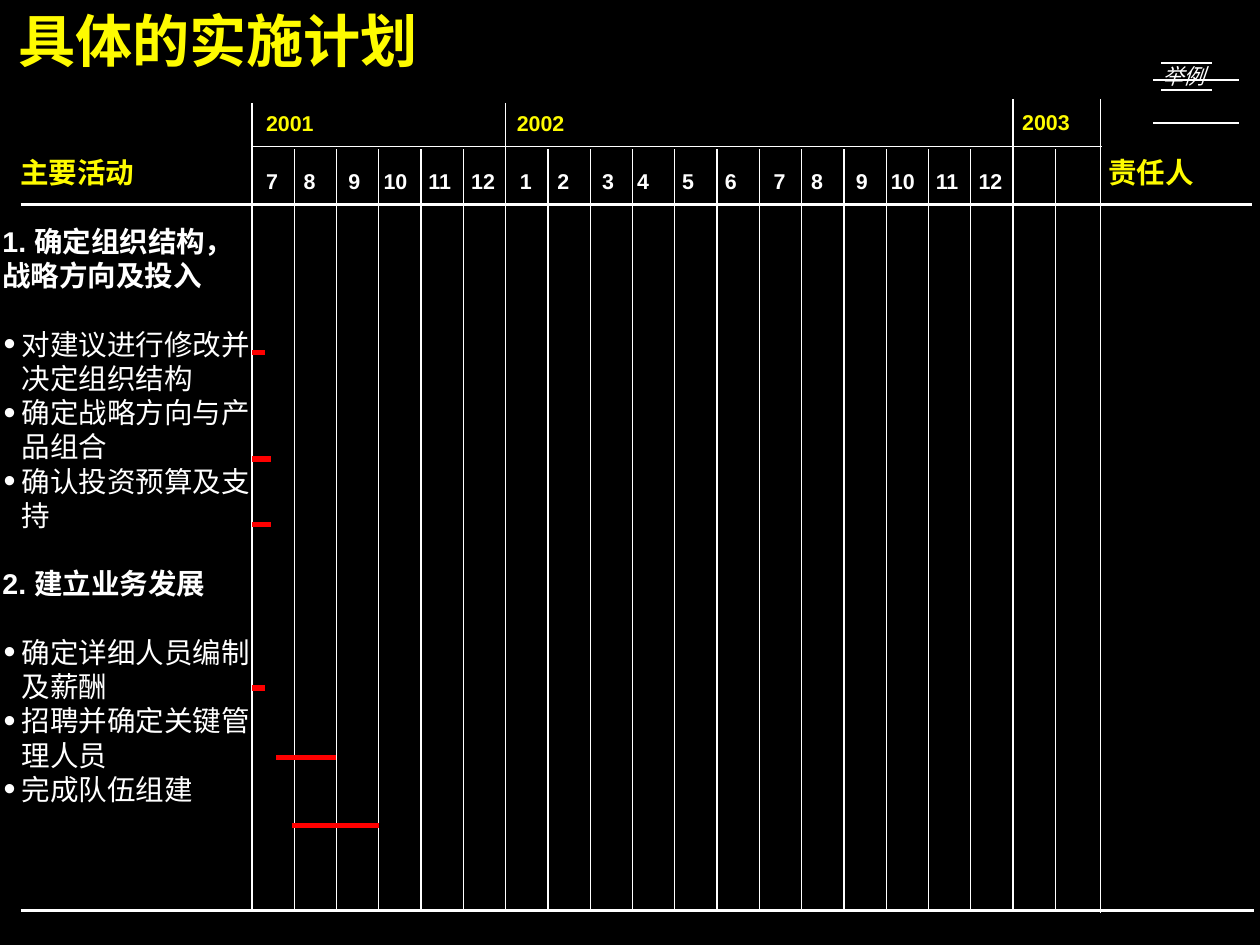
from pptx import Presentation
from pptx import util as u
from pptx.dml import color
from pptx.enum import shapes, text
from pptx.oxml import parse_xml
from pptx.oxml.ns import nsdecls, qn

Pt = u.Pt
FONT = "Arial"
WHITE, YELLOW, RED, BLACK = "FFFFFF", "FEFB00", "FF0000", "000000"
CHART_LEFT, CHART_RIGHT = 141.1, 616.4
MONTH_WIDTH = 23.68
YEAR_TOP, MONTH_TOP, CHART_BOTTOM = 57.6, 83.5, 509.8
MONTH_OFFSETS = [8, 29, 54, 73.7, 98.8, 122.8]  # label lefts within a half-year
LINE_GAP = 19.2

ACTIVITIES = [
    ("1. 确定组织结构，战略方向及投入",
     ["对建议进行修改并决定组织结构", "确定战略方向与产品组合", "确认投资预算及支持"]),
    ("2. 建立业务发展",
     ["确定详细人员编制及薪酬", "招聘并确定关键管理人员", "完成队伍组建"]),
]
# Task bars: left, right, height on the slide
TASK_BARS = [
    (141.1, 148.3, 197.3), (141.1, 151.9, 257), (141.1, 151.9, 293.8),
    (141.1, 148.3, 385.2), (154.8, 188, 424.1), (163.4, 212.4, 462.2),
]


def rgb(hex_color):
    return color.RGBColor.from_string(hex_color)


def add_line(s, x1, y1, x2, y2, width, hex_color=WHITE):
    ln = s.shapes.add_connector(shapes.MSO_CONNECTOR.STRAIGHT,
                                Pt(x1), Pt(y1), Pt(x2), Pt(y2))
    ln.line.width = Pt(width)
    ln.line.color.rgb = rgb(hex_color)
    ln._element.spPr.append(parse_xml(f"<a:effectLst {nsdecls('a')}/>"))


def add_frame(s, x, y, w, h, anchor):
    """Add a text box without margins and return its text frame."""
    tf = s.shapes.add_textbox(Pt(x), Pt(y), Pt(w), Pt(h)).text_frame
    tf.margin_left = tf.margin_right = tf.margin_top = tf.margin_bottom = 0
    tf.word_wrap = True
    tf.vertical_anchor = anchor
    return tf


def format_paragraph(p, size, hex_color, bold=False, italic=False):
    for r in p.runs:
        r.font.name = FONT
        r.font.size = Pt(size)
        r.font.bold = bold
        r.font.italic = italic
        r.font.color.rgb = rgb(hex_color)


def add_label(s, label, x, y, w, h, size, hex_color, bold=True, italic=False,
              align=text.PP_ALIGN.LEFT, anchor=text.MSO_ANCHOR.BOTTOM):
    p = add_frame(s, x, y, w, h, anchor).paragraphs[0]
    p.text = label
    p.alignment = align
    format_paragraph(p, size, hex_color, bold, italic)


def set_bullet(p):
    pPr = p._p.get_or_add_pPr()
    pPr.set("marL", str(Pt(10.8)))
    pPr.set("indent", str(-Pt(10.1)))
    clr = pPr.makeelement(qn("a:buClr"), {})
    clr.append(clr.makeelement(qn("a:srgbClr"), {"val": WHITE}))
    pPr.append(clr)
    for tag, attrs in (("a:buSzPct", {"val": "120000"}),
                       ("a:buFont", {"typeface": FONT}),
                       ("a:buChar", {"char": "•"})):
        pPr.append(pPr.makeelement(qn(tag), attrs))


def add_activities(s):
    tf = add_frame(s, 1.4, 125.3, 140, 352, text.MSO_ANCHOR.TOP)
    for i, (heading, tasks) in enumerate(ACTIVITIES):
        p = tf.add_paragraph() if i else tf.paragraphs[0]
        p.text = heading
        if i:
            p.space_before = Pt(LINE_GAP)
        format_paragraph(p, 16, WHITE, bold=True)
        for j, task in enumerate(tasks):
            p = tf.add_paragraph()
            p.text = task
            p.space_before = Pt(0 if j else LINE_GAP)
            set_bullet(p)
            format_paragraph(p, 16, WHITE)


def add_calendar(s):
    for i in range(20):
        x = CHART_LEFT + i * MONTH_WIDTH
        top = YEAR_TOP if i in (0, 6) else 55.4 if i == 18 else MONTH_TOP
        add_line(s, x, top, x, CHART_BOTTOM, 0.75)
    add_line(s, CHART_RIGHT, 55.4, CHART_RIGHT, 511.2, 0.75)
    add_line(s, 141.8, 82.1, 617, 82.1, 1)
    add_line(s, 11.5, 114.5, 701.3, 114.5, 1.5)
    add_line(s, 11.5, CHART_BOTTOM, 702, CHART_BOTTOM, 1.5)

    for year, x, y in (("2001", 149, 61.9), ("2002", 289.4, 61.9),
                       ("2003", 572.4, 61.2)):
        add_label(s, year, x, y, 85.7, 14.4, 12, YELLOW)
    for i in range(18):
        half, k = divmod(i, 6)
        x = CHART_LEFT + half * 6 * MONTH_WIDTH + MONTH_OFFSETS[k]
        add_label(s, str((i + 6) % 12 + 1), x, 94.3, 20, 14.4, 12, WHITE)


def add_example_tag(s):
    for x1, x2, heights in ((645.8, 694.1, (44.6, 69.1)),
                            (650.2, 679, (35.3, 50.4))):
        for y in heights:
            add_line(s, x1, y, x2, y, 1)
    add_label(s, "举例", 619.9, 35.3, 85.7, 14.4, 12, WHITE, bold=False,
              italic=True, align=text.PP_ALIGN.CENTER)


def main():
    prs = Presentation()
    prs.slide_width, prs.slide_height = Pt(705.6), Pt(529.2)
    s = prs.slides.add_slide(prs.slide_layouts[6])
    s.background.fill.solid()
    s.background.fill.fore_color.rgb = rgb(BLACK)

    add_label(s, "具体的实施计划", 10.1, 2.9, 683, 38.2, 32, YELLOW,
              anchor=text.MSO_ANCHOR.TOP)
    add_example_tag(s)
    add_label(s, "主要活动", 11.5, 86.4, 100, 19.4, 16, YELLOW)
    add_label(s, "责任人", 620.6, 86.4, 85, 19.4, 16, YELLOW)
    add_activities(s)
    add_calendar(s)
    for left, right, y in TASK_BARS:
        add_line(s, left, y, right, y, 3, RED)
    prs.save("out.pptx")


if __name__ == "__main__":
    main()
